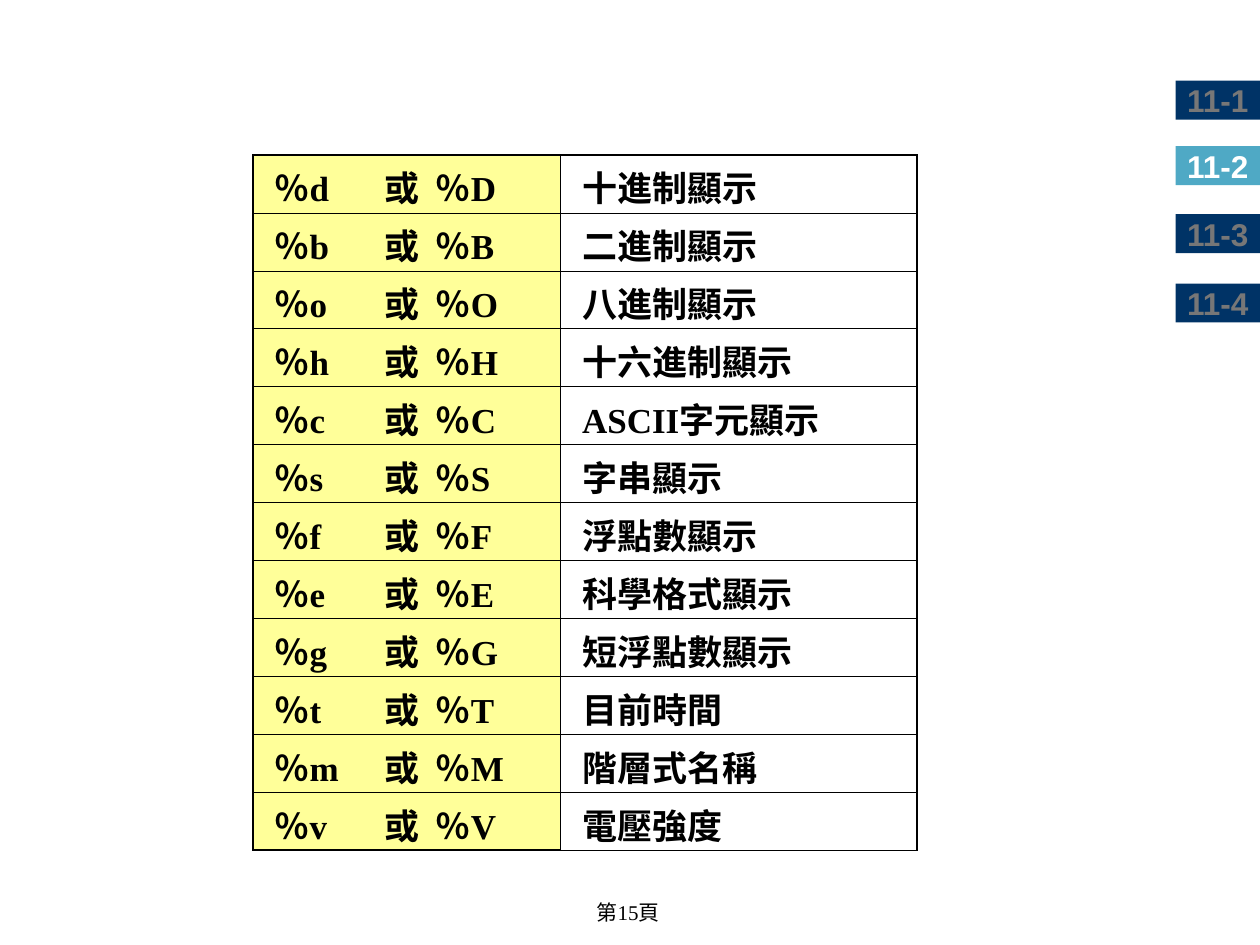
import pptx
import pptx.util
import pptx.dml.color
import pptx.enum.shapes
import pptx.enum.text
import pptx.oxml.ns
import lxml.etree

Inches = pptx.util.Inches
Pt = pptx.util.Pt
RGB = pptx.dml.color.RGBColor.from_string
CENTER = pptx.enum.text.PP_ALIGN.CENTER
MIDDLE = pptx.enum.text.MSO_ANCHOR.MIDDLE

theme = {
    "ink": "000000", "key": "FFFF99",
    "tab": "003366", "tab_text": "777777",
    "active": "4FA9C5", "active_text": "FFFFFF",
    "serif": "Times New Roman", "sans": "Arial",
    "table_size": 20, "tab_size": 18, "page_size": 12,
    "heavy": 1.08, "medium": 0.96, "thin": 0.45,
}


def write(tf, text, font=theme["serif"], size=theme["table_size"],
          color=theme["ink"], bold=True, align=None, wrap=True):
    tf.word_wrap = wrap
    p = tf.paragraphs[0]
    p.alignment = align
    r = p.add_run()
    r.text = text
    r.font.name = font
    r.font.size = Pt(size)
    r.font.bold = bold
    r.font.color.rgb = RGB(color)
    return p


def add_border(cell, index, edge, width):
    tcPr = cell._tc.get_or_add_tcPr()
    ln = lxml.etree.Element(pptx.oxml.ns.qn(f"a:ln{edge}"))
    tcPr.insert(index, ln)
    if width is None:
        lxml.etree.SubElement(ln, pptx.oxml.ns.qn("a:noFill"))
        return
    ln.set("w", str(int(Pt(width))))
    fill = lxml.etree.SubElement(ln, pptx.oxml.ns.qn("a:solidFill"))
    lxml.etree.SubElement(fill, pptx.oxml.ns.qn("a:srgbClr"), val=theme["ink"])


prs = pptx.Presentation()
prs.slide_width = Inches(10)
prs.slide_height = Inches(7.5)
s = prs.slides.add_slide(prs.slide_layouts[6])

page = s.shapes.add_textbox(Inches(4.35), Inches(7.09), Inches(1.27), Inches(0.3))
write(page.text_frame, "第15頁", size=theme["page_size"], bold=False,
      align=CENTER, wrap=False)

for label, top in [("11-1", 0.64), ("11-2", 1.16), ("11-3", 1.7), ("11-4", 2.25)]:
    state = "active" if label == "11-2" else "tab"
    sp = s.shapes.add_shape(pptx.enum.shapes.MSO_SHAPE.RECTANGLE,
                            Inches(9.33), Inches(top), Inches(0.67), Inches(0.31))
    sp.shadow.inherit = False
    sp.fill.solid()
    sp.fill.fore_color.rgb = RGB(theme[state])
    sp.line.fill.background()
    sp.text_frame.vertical_anchor = MIDDLE
    write(sp.text_frame, label, font=theme["sans"], size=theme["tab_size"],
          color=theme[state + "_text"], align=CENTER, wrap=False)

formats = [
    ("d", "十進制顯示"), ("b", "二進制顯示"), ("o", "八進制顯示"),
    ("h", "十六進制顯示"), ("c", "ASCII字元顯示"), ("s", "字串顯示"),
    ("f", "浮點數顯示"), ("e", "科學格式顯示"), ("g", "短浮點數顯示"),
    ("t", "目前時間"), ("m", "階層式名稱"), ("v", "電壓強度"),
]
widths = [0.94, 1.5, 2.83]
row_height = 0.46
last = len(formats) - 1
table = s.shapes.add_table(len(formats), len(widths), Inches(2.01), Inches(1.23),
                           Inches(sum(widths)), Inches(row_height * len(formats))).table
table.first_row = False
table.horz_banding = False
for column, width in zip(table.columns, widths):
    column.width = Inches(width)

for i, (letter, meaning) in enumerate(formats):
    table.rows[i].height = Inches(row_height)
    for j, text in enumerate([f"％{letter}", f"或\t％{letter.upper()}", meaning]):
        cell = table.cell(i, j)
        cell.margin_left = Inches(0.1 if j == 1 else 0.17)
        p = write(cell.text_frame, text)
        if j == 1:
            tabs = lxml.etree.SubElement(p._p.get_or_add_pPr(), pptx.oxml.ns.qn("a:tabLst"))
            lxml.etree.SubElement(tabs, pptx.oxml.ns.qn("a:tab"),
                                  pos=str(int(Inches(0.41))), algn="l")
        if j < 2:
            cell.fill.solid()
            cell.fill.fore_color.rgb = RGB(theme["key"])
        else:
            cell.fill.background()
        outer = theme["medium"] if j == 2 else theme["heavy"]
        edges = {
            "L": [outer, None, theme["thin"]][j],
            "R": [None, theme["thin"], outer][j],
            "T": outer if i == 0 else theme["thin"],
            "B": outer if i == last else theme["thin"],
        }
        for index, (edge, width) in enumerate(edges.items()):
            add_border(cell, index, edge, width)

prs.save("out.pptx")
